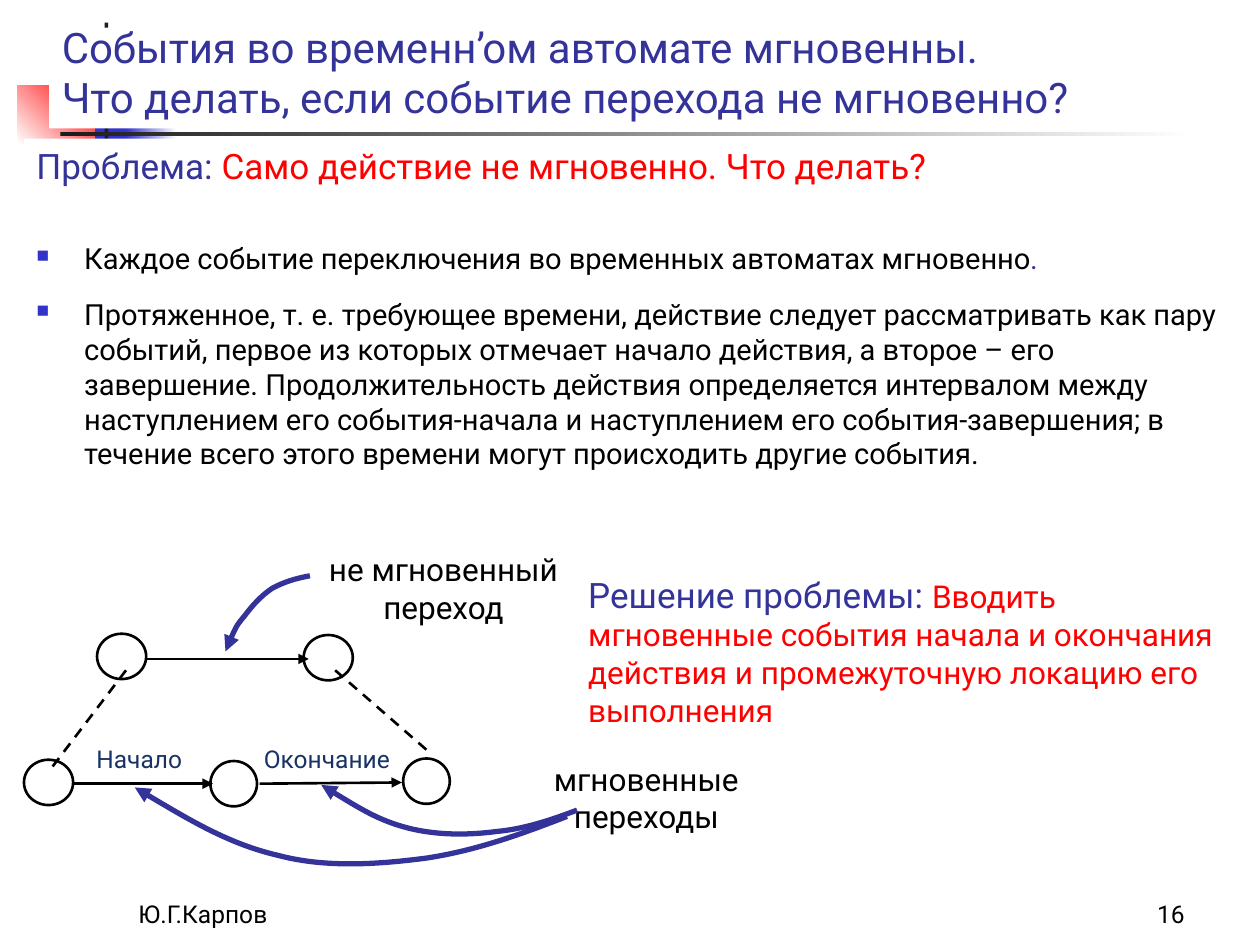
from dataclasses import dataclass

from lxml import etree
from pptx import Presentation
from pptx import util as u
from pptx.dml.color import RGBColor
from pptx.enum import dml, shapes, text
from pptx.oxml import ns


@dataclass(frozen=True)
class Theme:
    font: str = "Roboto"
    ink: str = "000000"
    paper: str = "FFFFFF"
    bar: str = "1C1C1C"
    heading: str = "333399"
    accent: str = "3333CC"
    alert: str = "FF0000"
    event: str = "183266"
    title: float = 24
    lead: float = 20
    label: float = 18
    body: float = 16.6
    small: float = 14
    thin: float = 1.5
    thick: float = 3


THEME = Theme()
COLUMNS, ROWS = 100, 75
SLIDE_WIDTH, SLIDE_HEIGHT = u.Inches(10), u.Inches(7.5)
LEFT, CENTER, RIGHT = text.PP_ALIGN.LEFT, text.PP_ALIGN.CENTER, text.PP_ALIGN.RIGHT


def cols(count):
    return round(SLIDE_WIDTH * count / COLUMNS)


def rows(count):
    return round(SLIDE_HEIGHT * count / ROWS)


def area(left, top, width, height):
    return cols(left), rows(top), cols(width), rows(height)


def color(value):
    return RGBColor.from_string(value)


def add_xml(parent, tag, **attributes):
    return etree.SubElement(parent, ns.qn(tag), attributes)


def paint(shape, *colors, angle=0):
    if len(colors) == 1:
        shape.fill.solid()
        shape.fill.fore_color.rgb = color(colors[0])
        return
    shape.fill.gradient()
    shape.fill.gradient_angle = angle
    for stop, value in zip(shape.fill.gradient_stops, colors):
        stop.color.rgb = color(value)


def style_line(line, value, width):
    line.color.rgb = color(value)
    line.width = u.Pt(width)


def add_arrowhead(shape, end):
    add_xml(shape.line._get_or_add_ln(), end, type="triangle")


def add_block(slide, box, *colors, angle=0):
    block = slide.shapes.add_shape(shapes.MSO_SHAPE.RECTANGLE, *area(*box))
    block.shadow.inherit = False
    block.line.fill.background()
    paint(block, *colors, angle=angle)
    return block


def write(paragraph, runs, size, align=LEFT):
    paragraph.alignment = align
    paragraph.font.name = THEME.font
    paragraph.font.size = u.Pt(size)
    for words, value in runs:
        run = paragraph.add_run()
        run.text = words
        run.font.color.rgb = color(value)


def add_text(slide, box, runs, size, align=LEFT, anchor=text.MSO_ANCHOR.TOP):
    label = slide.shapes.add_textbox(*area(*box))
    label.text_frame.word_wrap = True
    label.text_frame.vertical_anchor = anchor
    write(label.text_frame.paragraphs[0], runs, size, align)
    return label


def add_title(slide, box, words):
    title = slide.shapes.title
    title.left, title.top, title.width, title.height = area(*box)
    paint(title, THEME.paper)
    frame = title.text_frame
    frame.vertical_anchor = text.MSO_ANCHOR.BOTTOM
    frame.auto_size = text.MSO_AUTO_SIZE.NONE
    frame.text = words
    paragraph = frame.paragraphs[0]
    paragraph.alignment = LEFT
    paragraph.font.name = THEME.font
    paragraph.font.size = u.Pt(THEME.title)
    paragraph.font.color.rgb = color(THEME.heading)


def add_bullets(slide, box, items):
    frame = slide.shapes.add_textbox(*area(*box)).text_frame
    frame.word_wrap = True
    for index, runs in enumerate(items):
        paragraph = frame.add_paragraph() if index else frame.paragraphs[0]
        if index:
            paragraph.space_before = u.Pt(12)
        properties = paragraph._p.get_or_add_pPr()
        properties.set("marL", str(cols(3.8)))
        properties.set("indent", str(-cols(3.8)))
        add_xml(add_xml(properties, "a:buClr"), "a:srgbClr", val=THEME.accent)
        add_xml(properties, "a:buSzPct", val="60000")
        add_xml(properties, "a:buChar", char="■")
        write(paragraph, runs, THEME.body)


def add_state(slide, left, top, width):
    state = slide.shapes.add_shape(shapes.MSO_SHAPE.OVAL, *area(left, top, width, 3.6))
    state.shadow.inherit = False
    state.fill.background()
    style_line(state.line, THEME.ink, THEME.thin)


def add_link(slide, x1, y1, x2, y2, dashed=False):
    link = slide.shapes.add_connector(
        shapes.MSO_CONNECTOR.STRAIGHT, cols(x1), rows(y1), cols(x2), rows(y2))
    style_line(link.line, THEME.ink, THEME.thin)
    if dashed:
        link.line.dash_style = dml.MSO_LINE.DASH
    else:
        add_arrowhead(link, "a:tailEnd")
    add_xml(link._element.spPr, "a:effectLst")


def add_curve(slide, points, end):
    (start_x, start_y), *controls = [(cols(x), rows(y)) for x, y in points]
    builder = slide.shapes.build_freeform(start_x, start_y)
    builder.add_line_segments(controls, close=False)
    curve = builder.convert_to_shape()
    segments = list(curve._element.iter(ns.qn("a:lnTo")))
    outline = segments[0].getparent()
    for first in range(0, len(segments), 3):
        bend = add_xml(outline, "a:cubicBezTo")
        for segment in segments[first:first + 3]:
            bend.append(segment[0])
            outline.remove(segment)
    curve.shadow.inherit = False
    curve.fill.background()
    style_line(curve.line, THEME.heading, THEME.thick)
    add_arrowhead(curve, end)


def add_decoration(slide):
    add_block(slide, (5.9, 7.6, 4.6, 5.2), THEME.accent)
    add_block(slide, (10, 7.6, 4, 5.2), THEME.accent, THEME.paper)
    add_block(slide, (1.4, 6.8, 6.1, 4.6), THEME.paper, THEME.alert, angle=45)
    add_block(slide, (8.3, 1.8, 0.3, 11.5), THEME.bar)
    add_block(slide, (4.8, 10.5, 90, 0.3), THEME.bar, THEME.paper)


def add_automaton(slide):
    for state in ((7.7, 50.3, 3.9), (24.1, 50.4, 3.9),
                  (1.9, 60.3, 3.9), (16.7, 60.4, 3.7), (32, 60.2, 3.7)):
        add_state(slide, *state)
    for transition in ((11.6, 52.3, 24.5, 52.3), (5.7, 62.2, 16.9, 62.2),
                       (20.6, 62.2, 31.9, 62.1)):
        add_link(slide, *transition)
    for expansion in ((10, 53.2, 3.9, 61.2), (26.6, 53.2, 34.3, 59.9)):
        add_link(slide, *expansion, dashed=True)
    for box, words, value, size in (
        ((5.5, 58.6, 11.1, 3.4), "Начало", THEME.event, THEME.small),
        ((19.8, 58.6, 12.3, 3.4), "Окончание", THEME.event, THEME.small),
        ((23.4, 43.2, 23.6, 7), "не мгновенный переход", THEME.ink, THEME.label),
        ((39.5, 59.8, 23.6, 7), "мгновенные переходы", THEME.ink, THEME.label),
    ):
        add_text(slide, box, [(words, value)], size, CENTER)
    add_curve(slide, [(24.6, 45.7), (23.5, 45.9), (22.5, 46.2), (21.6, 46.7),
                      (20.7, 47.3), (20, 48.1), (19.4, 48.9),
                      (18.7, 49.7), (18.3, 50.7), (17.9, 51.7)], "a:tailEnd")
    add_curve(slide, [(10.7, 62.5), (14.4, 64.7), (18.2, 67), (22.1, 67.9),
                      (25.9, 68.9), (30.1, 68.6), (33.9, 68.1),
                      (37.8, 67.5), (41.4, 66.2), (45, 64.8)], "a:headEnd")
    add_curve(slide, [(25.5, 62.3), (27.8, 63.7), (30, 65.1), (32.3, 65.7),
                      (34.6, 66.3), (37.1, 66.3), (39.4, 66),
                      (41.6, 65.8), (43.7, 65.1), (45.8, 64.3)], "a:headEnd")


def main():
    deck = Presentation()
    deck.slide_width, deck.slide_height = SLIDE_WIDTH, SLIDE_HEIGHT
    slide = deck.slides.add_slide(deck.slide_layouts.get_by_name("Title Only"))
    add_decoration(slide)
    title = slide.shapes.title._element
    title.getparent().append(title)
    add_title(slide, (3.9, 2.2, 93.9, 8),
              "События во временн’ом автомате мгновенны. \v"
              "Что делать, если событие перехода не мгновенно?")
    problem = add_text(slide, (1.9, 11, 91, 4.4),
                       [("Проблема: ", THEME.heading),
                        ("Само действие не мгновенно. Что делать?", THEME.alert)],
                       THEME.lead)
    paint(problem, THEME.paper)
    add_bullets(slide, (1.9, 18.6, 97, 22.9), [
        [("Каждое событие переключения во временных автоматах мгновенно", THEME.ink),
         (".", THEME.heading)],
        [("Протяженное, т. е. требующее времени, действие следует рассматривать как пару "
          "событий, первое из которых отмечает начало действия, а второе – его завершение. "
          "Продолжительность действия определяется интервалом между наступлением его "
          "события-начала и наступлением его события-завершения; в течение всего этого "
          "времени могут происходить другие события.", THEME.ink)],
    ])
    solution = add_text(slide, (45.7, 45, 53.2, 13.4),
                        [("Решение проблемы: ", THEME.heading),
                         ("Вводить мгновенные события начала и окончания действия и "
                          "промежуточную локацию его выполнения", THEME.alert)],
                        THEME.label)
    solution.text_frame.paragraphs[0].runs[0].font.size = u.Pt(THEME.lead)
    add_automaton(slide)
    for left, words, align in ((10, "Ю.Г.Карпов", LEFT), (74.2, "16", RIGHT)):
        add_text(slide, (left, 69.2, 20.8, 5), [(words, THEME.ink)],
                 THEME.small, align, text.MSO_ANCHOR.BOTTOM)
    deck.save("out.pptx")


if __name__ == "__main__":
    main()
